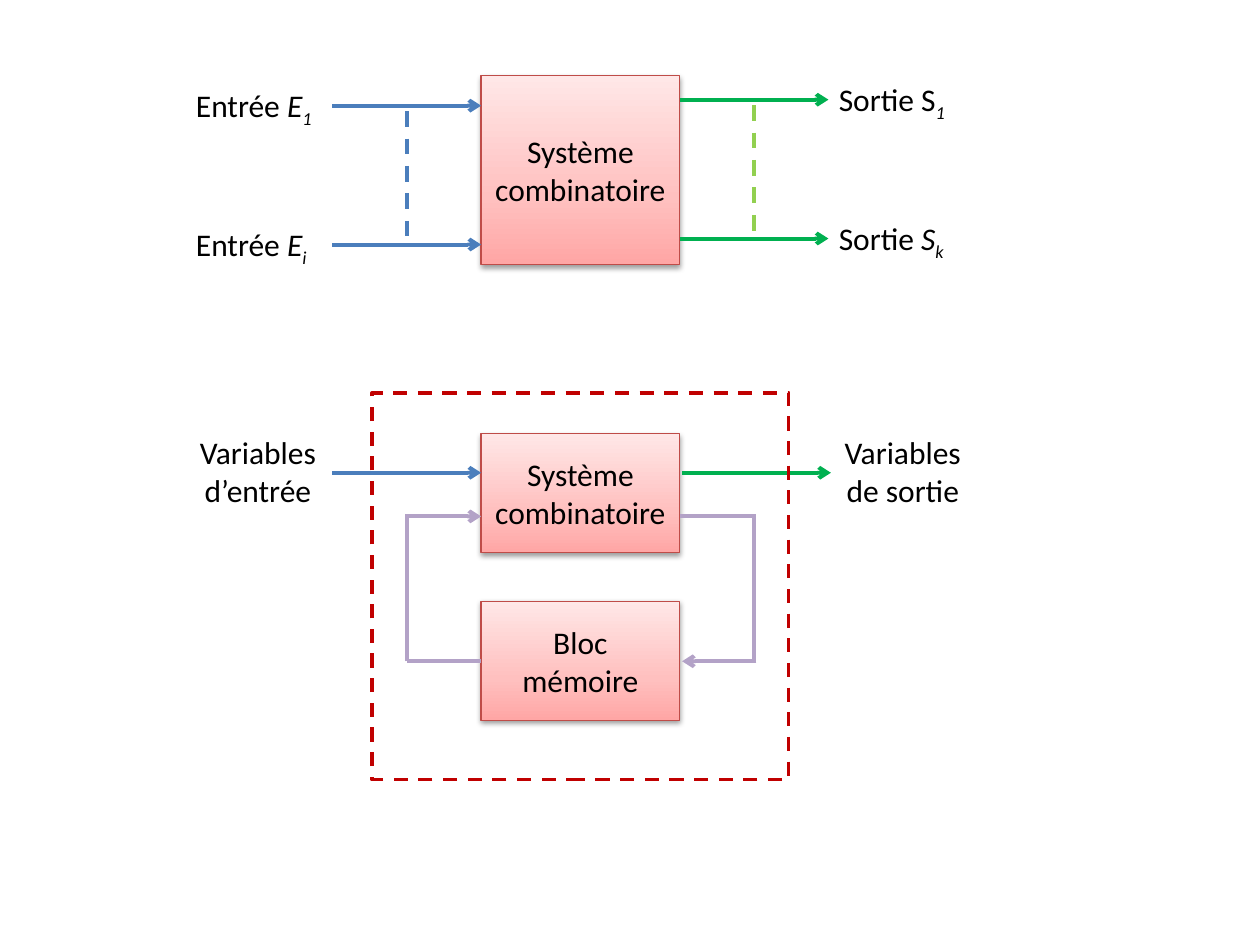
from lxml.etree import SubElement
from pptx import Presentation
from pptx.dml.color import RGBColor
from pptx.enum.dml import MSO_LINE_DASH_STYLE as Dash
from pptx.enum.shapes import MSO_CONNECTOR_TYPE as Connector, MSO_SHAPE as Shape
from pptx.enum.text import MSO_ANCHOR as Anchor, MSO_AUTO_SIZE as AutoSize, PP_ALIGN as Align
from pptx.oxml.ns import qn
from pptx.util import Cm, Pt

BLACK, BLUE, GREEN, LIME = "000000", "4B7EBC", "00B050", "92D050"
PURPLE, RED, BLOCK_EDGE = "B3A2C7", "C00000", "BF4C48"
BLOCK_STOPS = ((0, "FFA6A5"), (35, "FFC0BF"), (100, "FFE7E7"))
LABEL_WIDTH, ARROW_LENGTH, BLOCK_WIDTH = 3, 3, 4
BLOCK_X = LABEL_WIDTH + ARROW_LENGTH
OUTPUT_X = BLOCK_X + BLOCK_WIDTH
RIGHT_LABEL_X = OUTPUT_X + ARROW_LENGTH
LEFT_MIDDLE = LABEL_WIDTH + ARROW_LENGTH / 2
RIGHT_MIDDLE = OUTPUT_X + ARROW_LENGTH / 2
FONT = {"name": "Calibri", "size": Pt(18)}


def set_color(color_format, color):
    """Give a colour format an RRGGBB value."""
    color_format.rgb = RGBColor.from_string(color)


def set_values(target, values):
    """Set each attribute of target named in values."""
    for name, value in values.items():
        setattr(target, name, value)


def add_element(parent, tag, **attributes):
    """Append a DrawingML element and return it."""
    return SubElement(parent, qn(f"a:{tag}"), {k: str(v) for k, v in attributes.items()})


def add_run(paragraph, text, italic=False, subscript=False):
    """Add one run of text in the slide's font."""
    run = paragraph.add_run()
    run.text = text
    set_values(run.font, {**FONT, "italic": italic})
    set_color(run.font.color, BLACK)
    if subscript:
        run.font._element.set("baseline", "-25000")


def add_label(slide, x, y, height, runs, align=Align.LEFT):
    """Add a text box made of (text, italic, subscript) runs."""
    shape = slide.shapes.add_textbox(Cm(x), Cm(y), Cm(LABEL_WIDTH), Cm(height))
    set_values(shape.text_frame, {"word_wrap": True, "auto_size": AutoSize.SHAPE_TO_FIT_TEXT})
    paragraph = shape.text_frame.paragraphs[0]
    paragraph.alignment = align
    for run in runs:
        add_run(paragraph, *run)


def add_line(slide, start, end, color, arrow=False, dashed=False):
    """Draw a straight line between two points."""
    line = slide.shapes.add_connector(Connector.STRAIGHT, *map(Cm, (*start, *end)))
    line.line.width = Pt(2.25)
    set_color(line.line.color, color)
    if dashed:
        line.line.dash_style = Dash.DASH
    if arrow:
        add_element(line.line._get_or_add_ln(), "tailEnd", type="arrow")
    add_element(line._element.spPr, "effectLst")


def add_rectangle(slide, x, y, width, height, edge, edge_width):
    """Add a rectangle with a coloured edge and no shadow."""
    shape = slide.shapes.add_shape(Shape.RECTANGLE, *map(Cm, (x, y, width, height)))
    shape.shadow.inherit = False
    shape.line.width = Pt(edge_width)
    set_color(shape.line.color, edge)
    return shape


def add_block(slide, x, y, height, text):
    """Add a pink gradient block with a soft shadow and centred text."""
    shape = add_rectangle(slide, x, y, BLOCK_WIDTH, height, BLOCK_EDGE, 0.75)
    shape.fill.gradient()
    properties = shape._element.spPr
    gradient = properties.find(qn("a:gradFill"))
    for child in list(gradient):
        gradient.remove(child)
    stops = add_element(gradient, "gsLst")
    for position, color in BLOCK_STOPS:
        add_element(add_element(stops, "gs", pos=position * 1000), "srgbClr", val=color)
    add_element(gradient, "lin", ang=270 * 60000, scaled=0)
    shadow = add_element(properties.find(qn("a:effectLst")), "outerShdw", blurRad=Pt(3.1),
                         dist=Pt(1.6), dir=90 * 60000, rotWithShape=0)
    add_element(add_element(shadow, "srgbClr", val=BLACK), "alpha", val=38000)
    set_values(shape.text_frame, {"word_wrap": True, "vertical_anchor": Anchor.MIDDLE})
    paragraph = shape.text_frame.paragraphs[0]
    paragraph.alignment = Align.CENTER
    add_run(paragraph, text)


def add_combinational(slide, left, top):
    """Draw the combinational system with its inputs and outputs."""
    add_block(slide, left + BLOCK_X, top, 3.81, "Système combinatoire")
    gap = 2.8
    sides = (
        (LABEL_WIDTH, 0, 0.61, BLUE, BLUE,
         ([("Entrée ",), ("E", True), ("1", True, True)],
          [("Entrée ",), ("E", True), ("i", True, True)])),
        (OUTPUT_X, RIGHT_LABEL_X - 0.04, 0.49, GREEN, LIME,
         ([("Sortie S",), ("1", True, True)],
          [("Sortie ",), ("S", True), ("k", True, True)])),
    )
    for arrow_x, label_x, first_y, color, dash_color, labels in sides:
        x, first = left + arrow_x, top + first_y
        for index, runs in enumerate(labels):
            y = first + index * gap
            add_line(slide, (x, y), (x + ARROW_LENGTH, y), color, arrow=True)
            add_label(slide, left + label_x, y - 0.52, 1.03, runs)
        middle = x + ARROW_LENGTH / 2
        add_line(slide, (middle, first + 0.11), (middle, first + gap), dash_color, dashed=True)


def add_sequential(slide, left, top):
    """Draw the system with its memory loop inside a dashed frame."""
    block_x, output_x = left + BLOCK_X, left + OUTPUT_X
    loop_left, loop_right = left + LEFT_MIDDLE, left + RIGHT_MIDDLE
    signal_y, upper, lower = top + 1.61, top + 2.49, top + 5.41
    add_block(slide, block_x, top + 0.82, 2.4, "Système combinatoire")
    add_block(slide, block_x, top + 4.2, 2.4, "Bloc mémoire")
    for x, label_x, color, text in (
            (LABEL_WIDTH, 0, BLUE, "Variables d’entrée"),
            (OUTPUT_X + 0.05, RIGHT_LABEL_X, GREEN, "Variables de sortie")):
        add_line(slide, (left + x, signal_y), (left + x + ARROW_LENGTH, signal_y), color, arrow=True)
        add_label(slide, left + label_x, top + 0.69, 1.8, [(text,)], Align.CENTER)
    for start, end, arrow in (
            ((loop_left, upper), (block_x, upper), True),
            ((loop_right + 0.05, lower), (output_x + 0.05, lower), True),
            ((loop_right, upper), (output_x, upper), False),
            ((block_x, lower), (loop_left, lower), False),
            ((loop_left, lower), (loop_left, upper - 0.05), False),
            ((loop_right, lower), (loop_right, upper - 0.05), False)):
        add_line(slide, start, end, PURPLE, arrow)
    frame = add_rectangle(slide, left + 3.8, top, 8.4, 7.8, RED, 2)
    frame.fill.background()
    frame.line.dash_style = Dash.DASH


def main():
    """Build and save the slide."""
    presentation = Presentation()
    set_values(presentation, {"slide_width": Cm(25.4), "slide_height": Cm(19.05)})
    slide = presentation.slides.add_slide(presentation.slide_layouts[6])
    add_combinational(slide, 3.7, 1.52)
    add_sequential(slide, 3.7, 7.92)
    presentation.save("out.pptx")


main()
